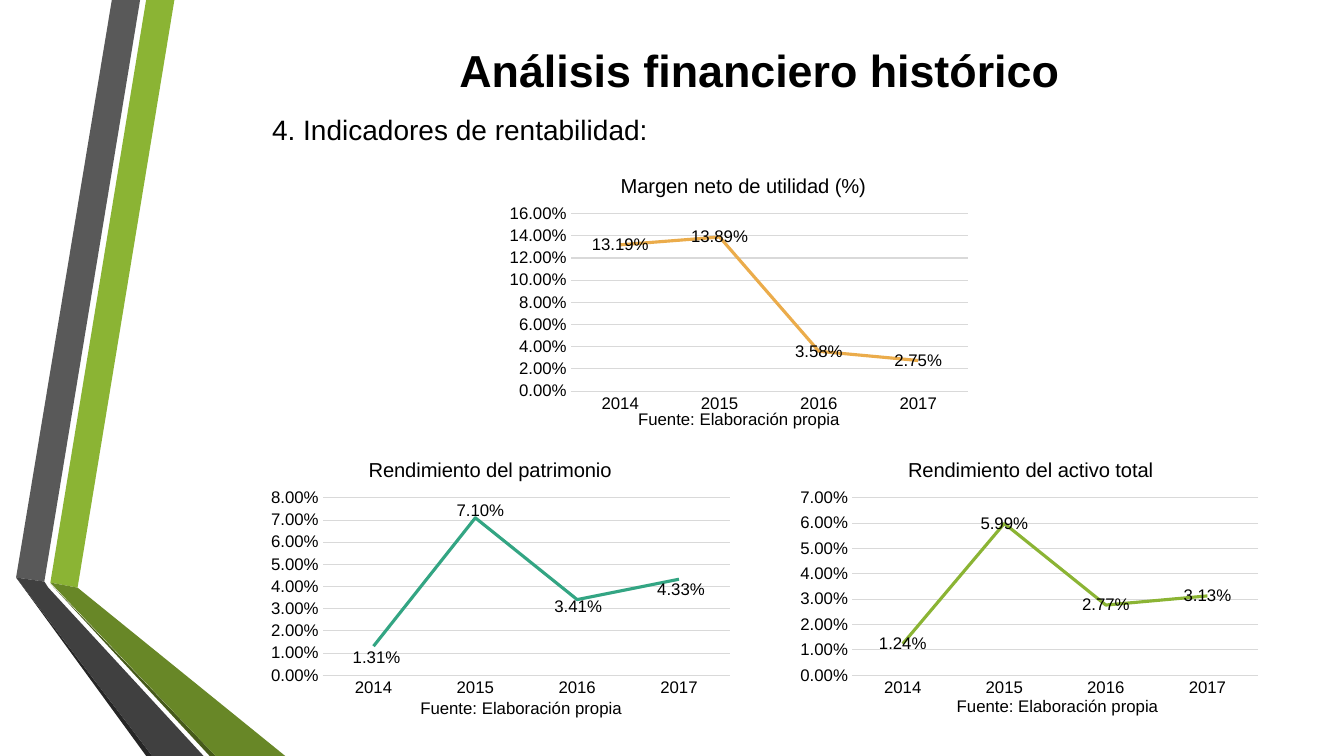
import lxml.etree
import pptx
import pptx.chart.data
import pptx.dml.color
import pptx.enum.chart
import pptx.enum.text
import pptx.oxml
import pptx.oxml.ns
import pptx.util

Inches = pptx.util.Inches
Pt = pptx.util.Pt
RGBColor = pptx.dml.color.RGBColor
qn = pptx.oxml.ns.qn

BLACK = RGBColor(0x00, 0x00, 0x00)
GRID = RGBColor(0xD9, 0xD9, 0xD9)
AMBER = RGBColor(0xEB, 0xAC, 0x4B)
TEAL = RGBColor(0x33, 0xA5, 0x83)
GREEN = RGBColor(0x8B, 0xB4, 0x34)
DARK_GREEN = RGBColor(0x68, 0x87, 0x27)
DEEP_GREEN = RGBColor(0x46, 0x5A, 0x1A)
GRAY = RGBColor(0x59, 0x59, 0x59)
DARK_GRAY = RGBColor(0x40, 0x40, 0x40)
DEEP_GRAY = RGBColor(0x26, 0x26, 0x26)

RIBBONS = [
    (GREEN, [(0.5, 5.78), (0.77, 5.83), (1.73, 0), (1.45, 0)]),
    (GRAY, [(1.39, 0), (1.11, 0), (0.16, 5.73), (0.44, 5.77)]),
    (DEEP_GRAY, [(0.16, 5.73), (1.45, 7.5), (1.51, 7.5)]),
    (DEEP_GREEN, [(0.5, 5.79), (2.08, 7.5), (2.14, 7.5)]),
    (DARK_GREEN, [(0.5, 5.78), (2.14, 7.5), (2.83, 7.5), (0.77, 5.83)]),
    (DARK_GRAY, [(2.02, 7.5), (0.48, 5.83), (0.44, 5.77), (0.16, 5.73), (1.51, 7.5)]),
]
YEARS = ["2014", "2015", "2016", "2017"]
CHART_WIDTH, CHART_HEIGHT = 4.73, 2.62
PLOT_TOP, PLOT_HEIGHT = 0.58, 1.76
TITLE_TOP = 0.14
LABEL_SHIFTS = [(0.03, 0.11), (0.05, -0.07), (0.01, 0.07), (0.02, 0.1)]


class SlideWriter:
    """Draws styled elements on the current slide."""

    def __init__(self, page, font="Arial", color=BLACK):
        self.page = page
        self.font = font
        self.color = color

    def style(self, font, size, bold=False):
        font.name = self.font
        font.size = Pt(size)
        font.bold = bold
        font.color.rgb = self.color

    def ribbon(self, color, points):
        corners = [(Inches(x), Inches(y)) for x, y in points]
        builder = self.page.shapes.build_freeform(*corners[0])
        builder.add_line_segments(corners[1:], close=True)
        shape = builder.convert_to_shape()
        shape.shadow.inherit = False
        shape.fill.solid()
        shape.fill.fore_color.rgb = color
        shape.line.fill.background()

    def text(self, words, left, top, width, height, size, bold=False, centered=False):
        box = self.page.shapes.add_textbox(
            Inches(left), Inches(top), Inches(width), Inches(height))
        frame = box.text_frame
        frame.word_wrap = centered
        frame.vertical_anchor = pptx.enum.text.MSO_ANCHOR.MIDDLE
        para = frame.paragraphs[0]
        if centered:
            para.alignment = pptx.enum.text.PP_ALIGN.CENTER
        span = para.add_run()
        span.text = words
        self.style(span.font, size, bold)

    def layout(self, left, top, width=None, height=None, edge=True):
        layout = pptx.oxml.parse_xml(
            '<c:layout xmlns:c="http://schemas.openxmlformats.org/drawingml/2006/chart"/>')
        manual = lxml.etree.SubElement(layout, qn("c:manualLayout"))
        entries = []
        if width:
            entries.append(("layoutTarget", "inner"))
        if edge:
            entries += [("xMode", "edge"), ("yMode", "edge")]
        entries += [("x", left / CHART_WIDTH), ("y", top / CHART_HEIGHT)]
        if width:
            entries += [("w", width / CHART_WIDTH), ("h", height / CHART_HEIGHT)]
        for tag, value in entries:
            lxml.etree.SubElement(manual, qn("c:" + tag)).set("val", str(value))
        return layout

    def place(self, parent, layout, before):
        for old in parent.findall(qn("c:layout")):
            parent.remove(old)
        parent.insert(before, layout)

    def chart(self, title, left, top, values, color, maximum, step,
              title_left, plot_left, plot_width, shifts=()):
        data = pptx.chart.data.CategoryChartData(number_format="0.00%")
        data.categories = YEARS
        data.add_series(title, values)
        chart = self.page.shapes.add_chart(
            pptx.enum.chart.XL_CHART_TYPE.LINE, Inches(left), Inches(top),
            Inches(CHART_WIDTH), Inches(CHART_HEIGHT), data).chart
        self.style(chart.font, 12)
        chart.has_legend = False
        chart.has_title = True
        span = chart.chart_title.text_frame.paragraphs[0].add_run()
        span.text = title
        self.style(span.font, 14.4)
        chart.chart_title.include_in_layout = False
        heading = chart.chart_title.element if hasattr(chart.chart_title, "element") \
            else chart.chart_title._element
        self.place(heading, self.layout(title_left, TITLE_TOP), 1)
        plot_area = chart.element.find(".//" + qn("c:plotArea")) \
            if hasattr(chart, "element") else chart._chartSpace.find(".//" + qn("c:plotArea"))
        self.place(plot_area, self.layout(plot_left, PLOT_TOP, plot_width, PLOT_HEIGHT), 0)
        self.axes(chart, maximum, step)
        self.line(chart.plots[0], color, shifts)

    def axes(self, chart, maximum, step):
        for axis in (chart.category_axis, chart.value_axis):
            axis.major_tick_mark = pptx.enum.chart.XL_TICK_MARK.NONE
            axis.minor_tick_mark = pptx.enum.chart.XL_TICK_MARK.NONE
            self.style(axis.tick_labels.font, 12)
        values = chart.value_axis
        values.minimum_scale, values.maximum_scale, values.major_unit = 0, maximum, step
        values.tick_labels.number_format = "0.00%"
        values.tick_labels.number_format_is_linked = False
        values.format.line.fill.background()
        values.has_major_gridlines = True
        for line in (chart.category_axis.format.line, values.major_gridlines.format.line):
            line.color.rgb = GRID
            line.width = Pt(0.75)

    def line(self, plot, color, shifts):
        plot.vary_by_categories = False
        series = plot.series[0]
        series.smooth = False
        series.marker.style = pptx.enum.chart.XL_MARKER_STYLE.NONE
        series.format.line.color.rgb = color
        series.format.line.width = Pt(2.25)
        center = pptx.enum.chart.XL_LABEL_POSITION.CENTER
        labels = series.data_labels
        labels.show_value = True
        labels.position = center
        labels.number_format = "0.00%"
        labels.number_format_is_linked = False
        self.style(labels.font, 12)
        for index, shift in enumerate(shifts):
            label = series.points[index].data_label
            self.style(label.font, 12)
            label.position = center
        for entry, shift in zip(series._element.iter(qn("c:dLbl")), shifts):
            self.place(entry, self.layout(*shift, edge=False), 1)


def main():
    deck = pptx.Presentation()
    deck.slide_width, deck.slide_height = Inches(13.33), Inches(7.5)
    writer = SlideWriter(deck.slides.add_slide(deck.slide_layouts[6]))
    for color, points in RIBBONS:
        writer.ribbon(color, points)
    writer.text("Análisis financiero histórico", 1.74, 0.21, 11.59, 0.96, 32,
                bold=True, centered=True)
    writer.text("4. Indicadores de rentabilidad:", 2.6, 1.06, 4.03, 0.44, 20)
    writer.chart("Margen neto de utilidad (%)", 4.97, 1.54,
                 [0.1319, 0.1389, 0.0358, 0.0275], AMBER, 0.16, 0.02, 1.15, 0.69, 3.94)
    writer.chart("Rendimiento del patrimonio", 2.6, 4.36,
                 [0.0131, 0.071, 0.0341, 0.0433], TEAL, 0.08, 0.01, 1.02, 0.6, 4.04,
                 LABEL_SHIFTS)
    writer.chart("Rendimiento del activo total", 7.85, 4.36,
                 [0.0124, 0.0599, 0.0277, 0.0313], GREEN, 0.07, 0.01, 1.12, 0.6, 4.03)
    for left, top in ((4.07, 6.87), (9.39, 6.85), (6.23, 4.01)):
        writer.text("Fuente: Elaboración propia", left, top, 2.21, 0.3, 12)
    deck.save("out.pptx")


if __name__ == "__main__":
    main()
